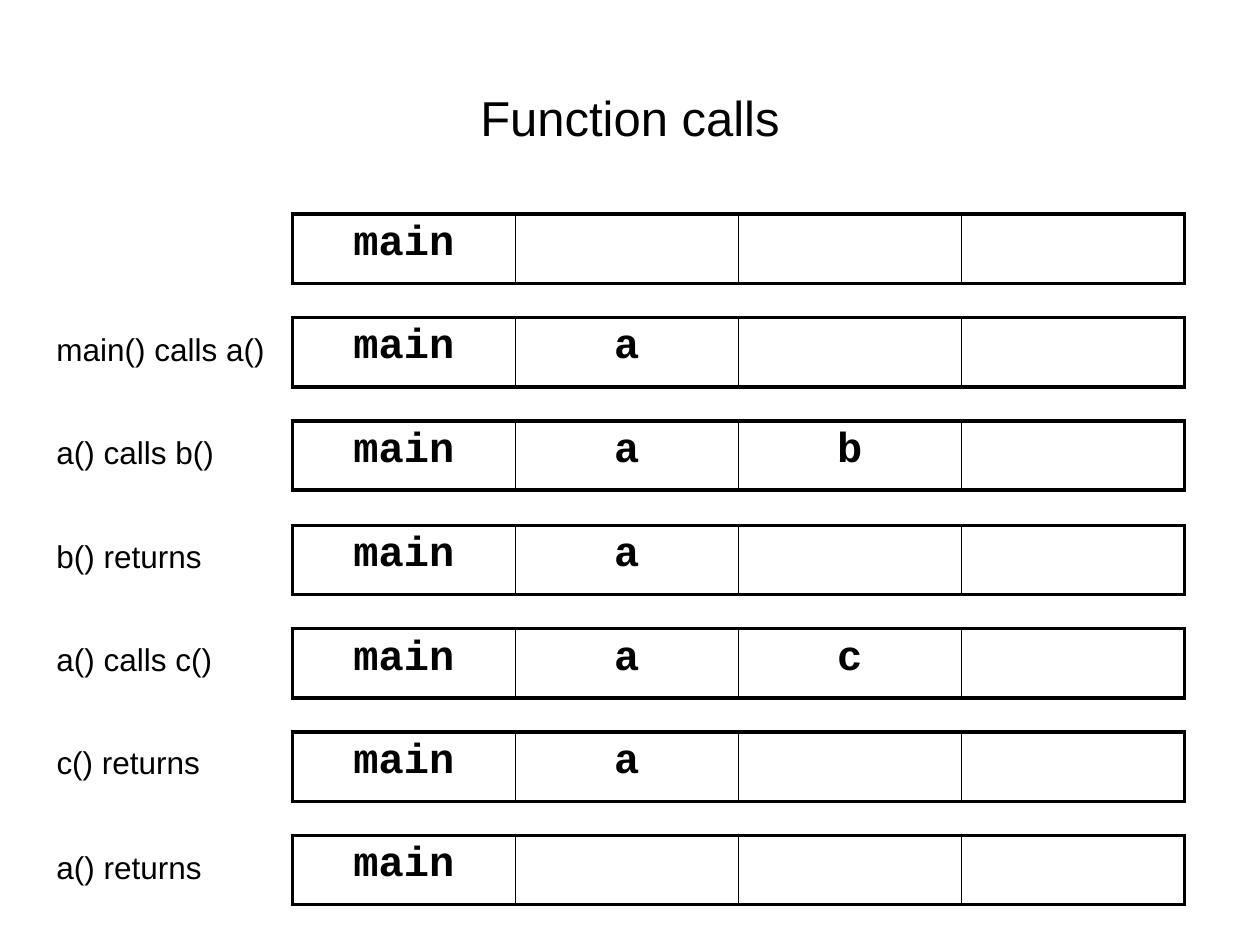
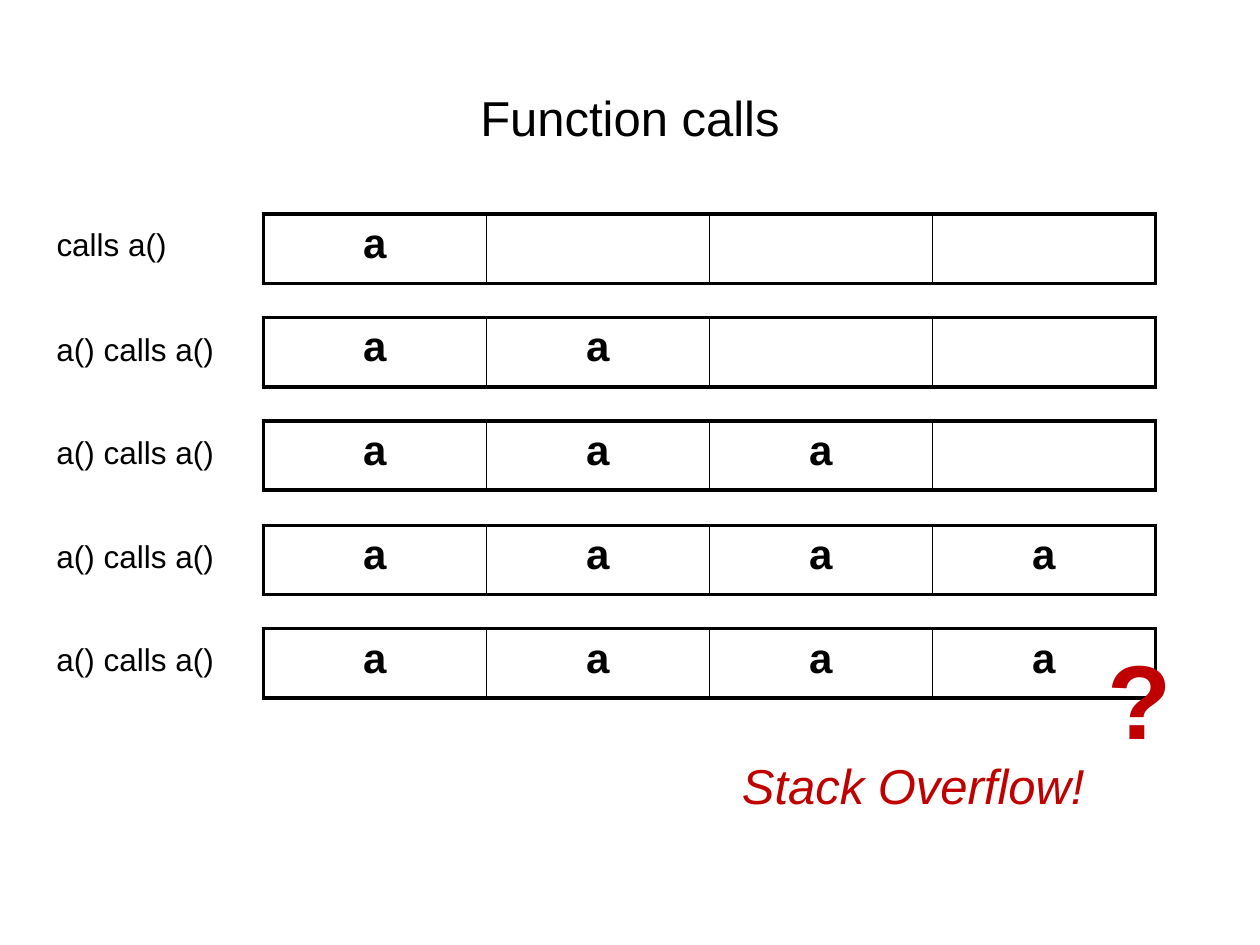
import pptx
import pptx.dml.color
import pptx.enum.text
import pptx.oxml.ns
import pptx.util
import lxml.etree

PX = 9144
BLACK = "000000"
RED = "C00000"
SANS = "Arial"
MONO = "Courier New"
THIN, THICK = 1, 2.25
FRAME_WIDTH, STACK_HEIGHT, STACK_DEPTH = 177, 55, 4
FIRST_STACK_TOP, STACK_STEP = 170, 82.17
LABEL_LEFT, LABEL_HEIGHT, LABEL_OFFSET = 35, 40, 4.5
LEFT = pptx.enum.text.PP_ALIGN.LEFT
CENTER = pptx.enum.text.PP_ALIGN.CENTER

NESTED_CALLS = [
    ("", 0, ["main"]),
    ("main() calls a()", 187, ["main", "a"]),
    ("a() calls b()", 146, ["main", "a", "b"]),
    ("b() returns", 137, ["main", "a"]),
    ("a() calls c()", 146, ["main", "a", "c"]),
    ("c() returns", 135, ["main", "a"]),
    ("a() returns", 137, ["main"]),
]
RECURSIVE_CALLS = [("calls a()", 109, ["a"])] + [
    ("a() calls a()", 146, ["a"] * min(depth, STACK_DEPTH)) for depth in range(2, 6)
]


def px(length):
    return pptx.util.Emu(round(length) * PX)


def color(value):
    return pptx.dml.color.RGBColor.from_string(value)


def add_element(parent, tag, **attributes):
    return lxml.etree.SubElement(parent, pptx.oxml.ns.qn(tag), **attributes)


def write_text(frame, text, size=18, font=SANS, ink=BLACK, bold=False, italic=False, align=LEFT):
    paragraph = frame.paragraphs[0]
    paragraph.alignment = align
    run = paragraph.add_run()
    run.text = text
    run.font.size = pptx.util.Pt(size)
    run.font.name = font
    run.font.bold = bold
    run.font.italic = italic
    run.font.color.rgb = color(ink)
    return paragraph


def add_label(slide, left, top, width, height, text, **style):
    frame = slide.shapes.add_textbox(px(left), px(top), px(width), px(height)).text_frame
    frame.word_wrap = False
    frame.auto_size = pptx.enum.text.MSO_AUTO_SIZE.SHAPE_TO_FIT_TEXT
    write_text(frame, text, **style)


def add_title(slide, text):
    frame = slide.shapes.add_textbox(px(50), px(30), px(900), px(125)).text_frame
    frame.word_wrap = True
    frame.vertical_anchor = pptx.enum.text.MSO_ANCHOR.MIDDLE
    write_text(frame, text, size=28, align=CENTER)


def set_borders(cell, **widths):
    properties = cell._tc.get_or_add_tcPr()
    for position, side in enumerate("LRTB"):
        line = add_element(properties, f"a:ln{side}", w=str(pptx.util.Pt(widths[side])))
        fill = add_element(line, "a:solidFill")
        add_element(fill, "a:srgbClr", val=BLACK)
        properties.insert(position, line)


def add_stack(slide, left, top, calls, font):
    table = slide.shapes.add_table(
        1, STACK_DEPTH, px(left), px(top), px(FRAME_WIDTH * STACK_DEPTH), px(STACK_HEIGHT)
    ).table
    table.first_row = False
    table.horz_banding = False
    for index in range(STACK_DEPTH):
        cell = table.cell(0, index)
        cell.fill.background()
        set_borders(
            cell,
            L=THICK if index == 0 else THIN,
            R=THICK if index == STACK_DEPTH - 1 else THIN,
            T=THICK,
            B=THICK,
        )
        if index < len(calls):
            paragraph = write_text(
                cell.text_frame, calls[index], size=24, font=font, bold=True, align=CENTER
            )
            spacing = add_element(paragraph._p.get_or_add_pPr(), "a:spcBef")
            add_element(spacing, "a:spcPct", val="20000")


def add_call_slide(deck, steps, stack_left, font):
    slide = deck.slides.add_slide(deck.slide_layouts[6])
    add_title(slide, "Function calls")
    for index, (action, width, calls) in enumerate(steps):
        top = FIRST_STACK_TOP + index * STACK_STEP
        if action:
            add_label(slide, LABEL_LEFT, top + LABEL_OFFSET, width, LABEL_HEIGHT, action)
        add_stack(slide, stack_left, top, calls, font)
    return slide


def main():
    deck = pptx.Presentation()
    deck.slide_width = px(1000)
    deck.slide_height = px(750)
    add_call_slide(deck, NESTED_CALLS, 232, MONO)
    recursion = add_call_slide(deck, RECURSIVE_CALLS, 209, SANS)
    add_label(recursion, 869, 499, 72, 111, "?", size=60, ink=RED, bold=True)
    add_label(recursion, 579, 595, 295, 57, "Stack Overflow!", size=28, ink=RED, italic=True)
    deck.save("out.pptx")


if __name__ == "__main__":
    main()
